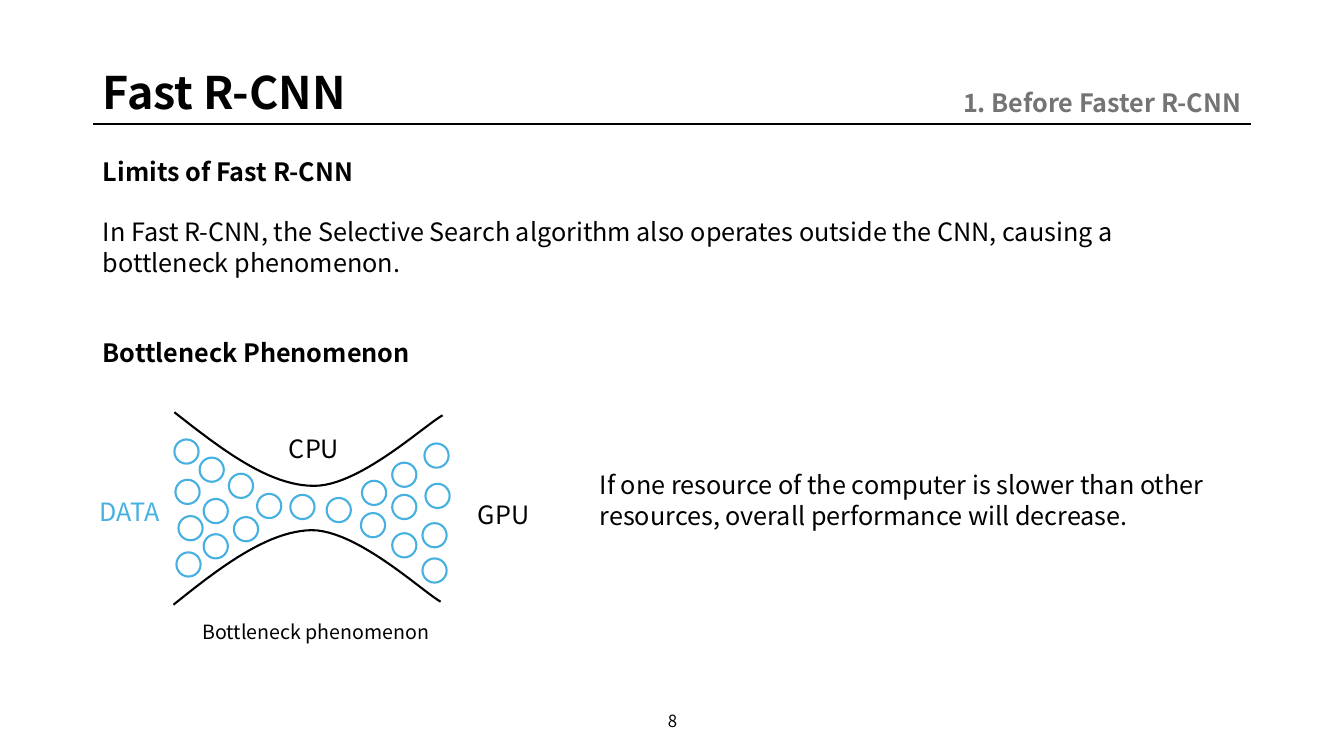
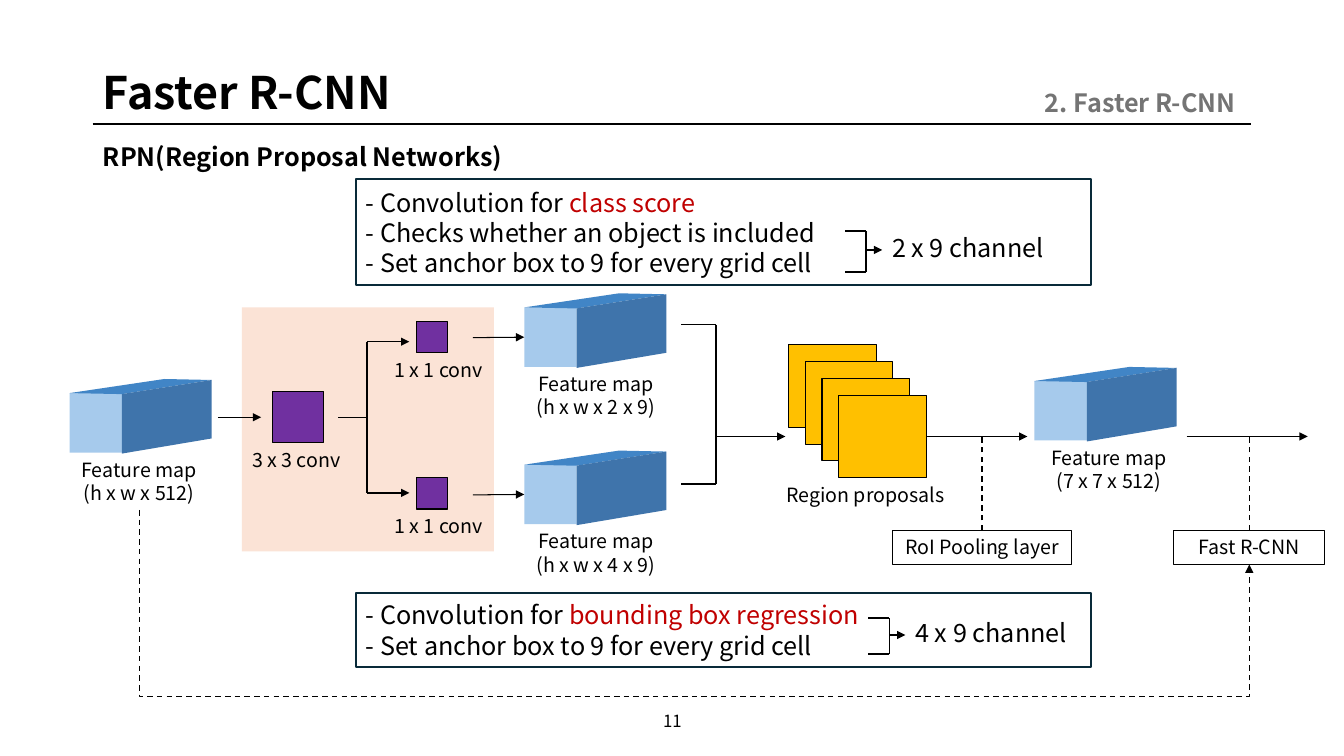
"""Build two slides on the Fast R-CNN bottleneck and the Faster R-CNN region proposal network."""
import dataclasses
import typing

import lxml.etree
import pptx
import pptx.dml.color
import pptx.enum.dml
import pptx.enum.shapes
import pptx.enum.text
import pptx.oxml.ns
import pptx.util

Inches = pptx.util.Inches
Align = pptx.enum.text.PP_ALIGN
Anchor = pptx.enum.text.MSO_ANCHOR
Preset = pptx.enum.shapes.MSO_SHAPE
Wire = pptx.enum.shapes.MSO_CONNECTOR
Area = tuple[float, float, float, float]
Point = tuple[float, float]


@dataclasses.dataclass(frozen=True)
class Theme:
    font: str = "Noto Sans CJK KR"
    ink: str = "000000"
    muted: str = "747474"
    data: str = "46B1E1"
    accent: str = "C00000"
    note_edge: str = "092A39"
    backdrop: str = "FBE3D6"
    kernel: str = "7030A0"
    proposal: str = "FFC000"
    map_front: str = "A6CAEC"
    map_side: str = "3F74AB"
    map_top: str = "4185C6"
    title: float = 32
    body: float = 18
    label: float = 14
    footer: float = 12


THEME = Theme()


@dataclasses.dataclass(frozen=True)
class Span:
    text: str
    color: str = THEME.ink


@dataclasses.dataclass(frozen=True)
class Para:
    spans: tuple[Span, ...]
    bold: bool = False
    before: float = 0


@dataclasses.dataclass(frozen=True)
class Label:
    area: Area
    text: str
    size: float = THEME.label
    color: str = THEME.ink
    align: Align = Align.CENTER
    bold: bool = False
    anchor: Anchor = Anchor.TOP


@dataclasses.dataclass(frozen=True)
class FeatureMap:
    left: float
    top: float
    label_left: float
    size_text: str


@dataclasses.dataclass(frozen=True)
class Kernel:
    left: float
    top: float
    side: float
    label_left: float
    text: str


@dataclasses.dataclass(frozen=True)
class Bracket:
    arm: float
    spine: float
    stem: float
    top: float
    middle: float
    bottom: float


@dataclasses.dataclass(frozen=True)
class Note:
    area: Area
    lines: tuple[tuple[Span, ...], ...]
    bracket: Bracket
    channel: Label


def rgb(color: str) -> pptx.dml.color.RGBColor:
    return pptx.dml.color.RGBColor.from_string(color)


def apply(target: typing.Any, values: dict[str, typing.Any]) -> None:
    for name, value in values.items():
        setattr(target, name, value)


def place(box: typing.Any, area: Area) -> None:
    apply(box, dict(zip(("left", "top", "width", "height"), map(Inches, area))))


def write(frame: typing.Any, paras: typing.Sequence[Para], size: float,
          align: Align = Align.LEFT, anchor: Anchor = Anchor.TOP) -> None:
    apply(frame, {"word_wrap": True, "auto_size": pptx.enum.text.MSO_AUTO_SIZE.NONE,
                  "vertical_anchor": anchor})
    for index, item in enumerate(paras):
        para = frame.add_paragraph() if index else frame.paragraphs[0]
        apply(para, {"alignment": align, "space_before": pptx.util.Pt(item.before)})
        for piece in item.spans:
            span = para.add_run()
            span.text = piece.text
            apply(span.font, {"name": THEME.font, "size": pptx.util.Pt(size), "bold": item.bold})
            span.font.color.rgb = rgb(piece.color)


def add_label(page: typing.Any, label: Label) -> None:
    box = page.shapes.add_textbox(*map(Inches, label.area))
    paras = [Para((Span(line, label.color),), label.bold) for line in label.text.split("\n")]
    write(box.text_frame, paras, label.size, label.align, label.anchor)


def paint(box: typing.Any, fill: str | None, edge: str | None, width: float) -> None:
    box.shadow.inherit = False
    if fill:
        box.fill.solid()
        box.fill.fore_color.rgb = rgb(fill)
    else:
        box.fill.background()
    if edge:
        box.line.color.rgb = rgb(edge)
        box.line.width = pptx.util.Pt(width)
    else:
        box.line.fill.background()


def add_box(page: typing.Any, area: Area, fill: str | None = None, edge: str | None = None,
            width: float = 0.75, preset: Preset = Preset.RECTANGLE) -> typing.Any:
    box = page.shapes.add_shape(preset, *map(Inches, area))
    paint(box, fill, edge, width)
    return box


def add_outline(page: typing.Any, points: typing.Sequence[Point], fill: str | None = None,
                edge: str | None = None) -> None:
    corners = [(Inches(x), Inches(y)) for x, y in points]
    builder = page.shapes.build_freeform(*corners[0])
    builder.add_line_segments(corners[1:], close=fill is not None)
    paint(builder.convert_to_shape(), fill, edge, 1.5)


def style_line(wire: typing.Any, width: float, arrow: bool, dashed: bool) -> None:
    wire.line.color.rgb = rgb(THEME.ink)
    wire.line.width = pptx.util.Pt(width)
    if dashed:
        wire.line.dash_style = pptx.enum.dml.MSO_LINE.DASH
    properties = wire._element.spPr
    if arrow:
        lxml.etree.SubElement(properties.get_or_add_ln(), pptx.oxml.ns.qn("a:tailEnd"), type="triangle")
    lxml.etree.SubElement(properties, pptx.oxml.ns.qn("a:effectLst"))


def add_line(page: typing.Any, start: Point, end: Point, width: float = 0.75,
             arrow: bool = False, dashed: bool = False) -> typing.Any:
    wire = page.shapes.add_connector(Wire.STRAIGHT, *map(Inches, start + end))
    style_line(wire, width, arrow, dashed)
    return wire


def add_return_path(page: typing.Any, start: Point, end: Point, floor: float) -> None:
    middle_x, middle_y = (start[0] + end[0]) / 2, (start[1] + end[1]) / 2
    rise, run = end[1] - start[1], end[0] - start[0]
    corners = (middle_x + rise / 2, middle_y - run / 2, middle_x - rise / 2, middle_y + run / 2)
    wire = page.shapes.add_connector(Wire.ELBOW, *map(Inches, corners))
    properties = wire._element.spPr
    properties.find(pptx.oxml.ns.qn("a:xfrm")).set("rot", str(270 * 60000))
    geometry = properties.find(pptx.oxml.ns.qn("a:prstGeom"))
    guides = geometry.find(pptx.oxml.ns.qn("a:avLst"))
    if guides is None:
        guides = lxml.etree.SubElement(geometry, pptx.oxml.ns.qn("a:avLst"))
    bend = round((floor - start[1]) / rise * 100000)
    lxml.etree.SubElement(guides, pptx.oxml.ns.qn("a:gd"), name="adj1", fmla=f"val {bend}")
    style_line(wire, 1, True, True)


def add_bracket(page: typing.Any, bracket: Bracket) -> None:
    splits = bracket.arm > bracket.spine
    add_line(page, (bracket.spine, bracket.top), (bracket.spine, bracket.bottom), 1)
    for y in (bracket.top, bracket.bottom):
        add_line(page, (bracket.spine, y), (bracket.arm, y), 1, arrow=splits)
    add_line(page, (bracket.spine, bracket.middle), (bracket.stem, bracket.middle), 1, arrow=not splits)


def add_feature_map(page: typing.Any, item: FeatureMap) -> typing.Any:
    x, y = item.left, item.top
    width, height, far = 0.52, 0.59, x + 1.41
    front = add_box(page, (x, y, width, height), THEME.map_front)
    add_outline(page, [(x, y), (x + 0.94, y - 0.14), (far, y - 0.13), (x + width, y + 0.01)], THEME.map_top)
    add_outline(page, [(x + width, y + 0.01), (far, y - 0.13), (far, y + 0.45),
                       (x + width, y + height + 0.01)], THEME.map_side)
    add_label(page, Label((item.label_left, y + height, 1.46, 0.57), f"Feature map\n{item.size_text}"))
    return front


def add_kernel(page: typing.Any, item: Kernel) -> None:
    add_box(page, (item.left, item.top, item.side, item.side), THEME.kernel, THEME.ink)
    add_label(page, Label((item.label_left, item.top + item.side, 1.46, 0.34), item.text))


def add_note(page: typing.Any, note: Note) -> None:
    box = add_box(page, note.area, edge=THEME.note_edge, width=1.5)
    write(box.text_frame, [Para(line) for line in note.lines], THEME.body, anchor=Anchor.MIDDLE)
    add_bracket(page, note.bracket)
    add_label(page, note.channel)


def add_page(deck: typing.Any, title: str, section: str, number: str, body_area: Area,
             paras: typing.Sequence[Para]) -> typing.Any:
    page = deck.slides.add_slide(deck.slide_layouts[1])
    heading, body = page.shapes.title, page.placeholders[1]
    place(heading, (0.92, 0.59, 3.24, 0.64))
    write(heading.text_frame, [Para((Span(title),), True)], THEME.title)
    place(body, body_area)
    write(body.text_frame, paras, THEME.body)
    for para in body.text_frame.paragraphs:
        properties = para._p.get_or_add_pPr()
        for name in ("marL", "indent"):
            properties.set(name, "0")
        lxml.etree.SubElement(properties, pptx.oxml.ns.qn("a:buNone"))
    add_line(page, (0.92, 1.23), (12.41, 1.23), 1.5)
    add_label(page, Label((9.41, 0.82, 3, 0.4), section, THEME.body, THEME.muted, Align.RIGHT, True))
    add_label(page, Label((5.17, 6.95, 3, 0.4), number, THEME.footer, anchor=Anchor.MIDDLE))
    return page


def bezier(a: Point, b: Point, c: Point, d: Point, steps: int = 24) -> list[Point]:
    def blend(axis: int, t: float) -> float:
        s = 1 - t
        return s**3 * a[axis] + 3 * s * s * t * b[axis] + 3 * s * t * t * c[axis] + t**3 * d[axis]
    return [(blend(0, i / steps), blend(1, i / steps)) for i in range(steps + 1)]


def build_bottleneck(deck: typing.Any) -> None:
    page = add_page(deck, "Fast R-CNN", "1. Before Faster R-CNN ", "8", (0.92, 1.5, 11.49, 2.22), [
        Para((Span("Limits of Fast R-CNN"),), True),
        Para((Span("In Fast R-CNN, the Selective Search algorithm also operates outside the CNN, "
                   "causing a bottleneck phenomenon."),), before=21.6),
        Para((Span("Bottleneck Phenomenon"),), True, before=43.2)])
    walls = (((1.72, 6), (2.18, 5.63), (2.65, 5.27), (3.09, 5.26), (3.54, 5.26), (4.18, 5.86), (4.37, 5.97)),
             ((1.73, 4.09), (2.2, 4.46), (2.67, 4.82), (3.11, 4.82), (3.55, 4.83), (4.2, 4.23), (4.39, 4.12)))
    for wall in walls:
        add_outline(page, bezier(*wall[:4]) + bezier(*wall[3:])[1:], edge=THEME.ink)
    drops = ((1.98, 4.54), (2.27, 4.7), (1.77, 5.12), (2.02, 4.95), (1.74, 4.76), (2.55, 4.9), (2.88, 4.91),
             (3.24, 4.94), (3.59, 4.77), (3.58, 5.09), (3.89, 4.91), (3.89, 4.59), (4.19, 5.19), (2.32, 5.13),
             (3.89, 5.29), (4.22, 4.8), (2.02, 5.3), (4.21, 4.4), (1.73, 4.36), (1.75, 5.48), (4.19, 5.54))
    for x, y in drops:
        add_box(page, (x, y, 0.24, 0.24), edge=THEME.data, width=1.5, preset=Preset.OVAL)
    for label in (
            Label((1.9, 6.1, 2.47, 0.34), "Bottleneck phenomenon"),
            Label((2.48, 4.25, 1.27, 0.4), "CPU", THEME.body),
            Label((4.42, 4.9, 1.15, 0.4), "GPU", THEME.body),
            Label((0.78, 4.87, 1.01, 0.4), "DATA", THEME.body, THEME.data),
            Label((5.85, 4.61, 6.67, 0.71), "If one resource of the computer is slower than other resources, "
                  "overall performance will decrease.", THEME.body, align=Align.LEFT)):
        add_label(page, label)


def build_network(deck: typing.Any) -> None:
    page = add_page(deck, "Faster R-CNN", "2. Faster R-CNN ", "11", (0.92, 1.35, 11.49, 0.4),
                    [Para((Span("RPN(Region Proposal Networks)"),), True)])
    add_box(page, (2.4, 3.05, 2.5, 2.42), THEME.backdrop)
    for kernel in (Kernel(2.7, 3.88, 0.51, 2.21, "3 x 3 conv"), Kernel(4.13, 3.19, 0.31, 3.62, "1 x 1 conv"),
                   Kernel(4.13, 4.74, 0.31, 3.62, "1 x 1 conv")):
        add_kernel(page, kernel)
    for item in (FeatureMap(0.69, 3.9, 0.65, "(h x w x 512)"), FeatureMap(10.26, 3.78, 10.27, "(7 x 7 x 512)")):
        add_feature_map(page, item)
    for top, size_text in ((3.05, "(h x w x 2 x 9)"), (4.61, "(h x w x 4 x 9)")):
        front = add_feature_map(page, FeatureMap(5.2, top, 5.18, size_text))
        add_line(page, (4.69, top + 0.3), (5.2, top + 0.3), arrow=True).end_connect(front, 1)
    for step in range(4):
        proposal = add_box(page, (7.82 + step / 6, 3.42 + step / 6, 0.87, 0.82), THEME.proposal, THEME.ink)
    add_label(page, Label((7.7, 4.74, 1.78, 0.34), "Region proposals", align=Align.LEFT))
    add_line(page, (9.19, 4.33), (10.19, 4.33), arrow=True).begin_connect(proposal, 3)
    for start, end in (((11.77, 4.33), (12.97, 4.33)), ((2.16, 4.14), (2.59, 4.14))):
        add_line(page, start, end, arrow=True)
    for left, width, text in ((8.85, 1.78, "RoI Pooling layer"), (11.64, 1.5, "Fast R-CNN")):
        box = add_box(page, (left, 5.26, width, 0.34), edge=THEME.ink)
        write(box.text_frame, [Para((Span(text),))], THEME.label, Align.CENTER)
        middle = left + width / 2
        add_line(page, (middle, 5.26), (middle, 4.33), 1, dashed=True).begin_connect(box, 0)
    add_return_path(page, (1.38, 5.06), (12.39, 5.6), 6.91)
    for bracket in (Bracket(4.06, 3.64, 3.35, 3.39, 4.14, 4.89), Bracket(6.75, 7.1, 7.79, 3.22, 4.33, 4.8)):
        add_bracket(page, bracket)
    anchors = (Span("- Set anchor box to 9 for every grid cell"),)
    convolution = Span("- Convolution for ")
    for note in (
            Note((3.53, 1.78, 7.29, 1.05),
                 ((convolution, Span("class score", THEME.accent)),
                  (Span("- Checks whether an object is included"),), anchors),
                 Bracket(8.38, 8.59, 8.75, 2.29, 2.48, 2.7),
                 Label((8.75, 2.26, 1.94, 0.47), "2 x 9 channel", THEME.body, align=Align.LEFT)),
            Note((3.53, 5.88, 7.29, 0.74),
                 ((convolution, Span("bounding box regression", THEME.accent)), anchors),
                 Bracket(8.61, 8.82, 8.98, 6.13, 6.3, 6.49),
                 Label((8.98, 6.08, 1.94, 0.4), "4 x 9 channel", THEME.body, align=Align.LEFT))):
        add_note(page, note)


def main() -> None:
    deck = pptx.Presentation()
    apply(deck, {"slide_width": Inches(13.33), "slide_height": Inches(7.5)})
    build_bottleneck(deck)
    build_network(deck)
    deck.save("out.pptx")


if __name__ == "__main__":
    main()
